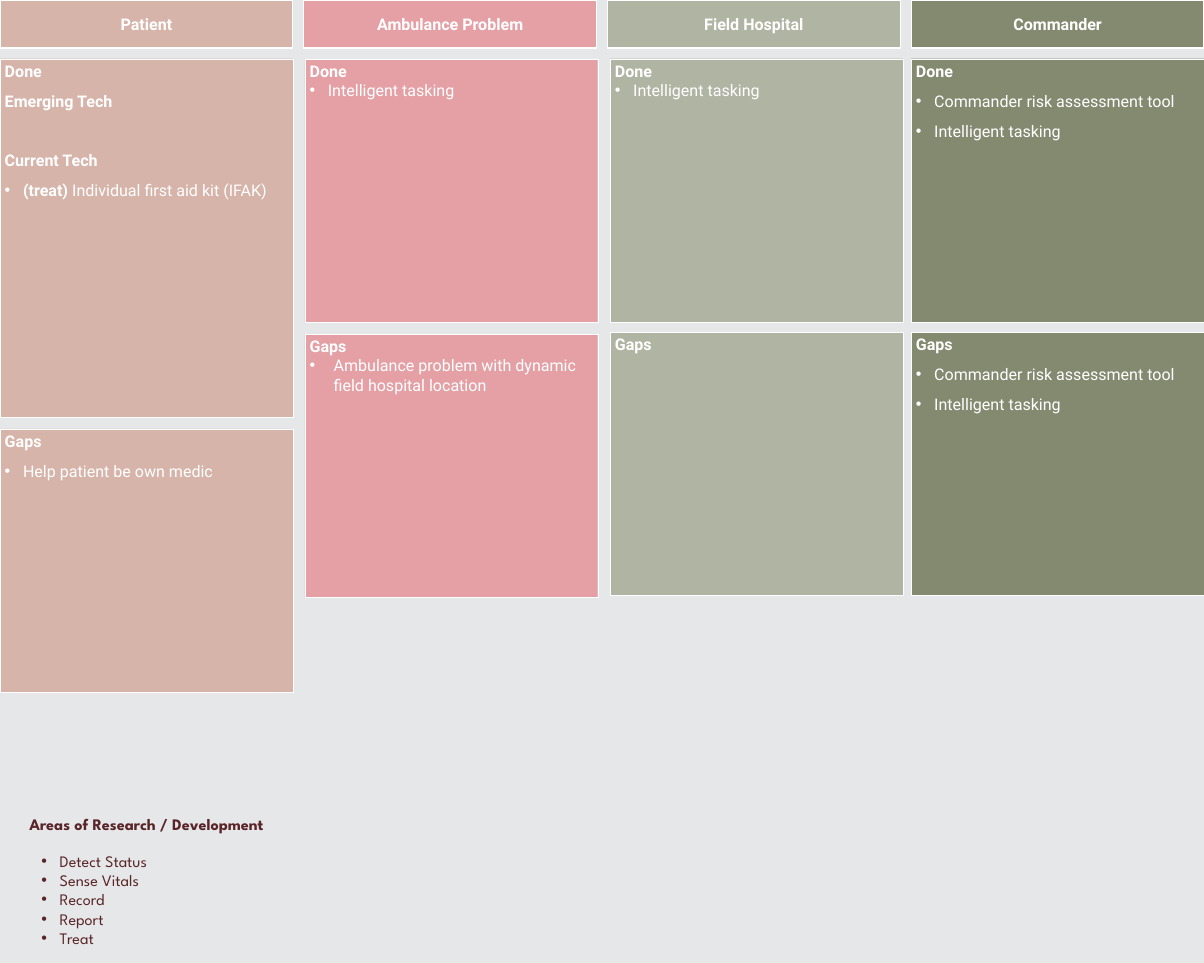
import dataclasses

import lxml.etree
import pptx
import pptx.dml.color
import pptx.enum.shapes
import pptx.enum.text
import pptx.oxml.ns
import pptx.util

Inches = pptx.util.Inches
Pt = pptx.util.Pt
ALIGN = pptx.enum.text.PP_ALIGN
ANCHOR = pptx.enum.text.MSO_ANCHOR

WHITE, PALE, MAROON = "FFFFFF", "E6E7E9", "592528"
COLUMN_WIDTH = 6.08
BULLET_INDENT = 0.38


def color(value):
    return pptx.dml.color.RGBColor.from_string(value)


@dataclasses.dataclass
class Line:
    text: str
    lead: str = ""  # bold words before the text
    bold: bool = False
    indent: float = 0  # a bullet hangs in the indent
    after: float = 0


def heading(text, after=0):
    return Line(text, bold=True, after=after)


def bullet(text, after=0, lead="", indent=BULLET_INDENT):
    return Line(text, lead=lead, indent=indent, after=after)


class Board:
    def __init__(self, page):
        self.page = page
        self.size = 24

    def add_box(self, left, top, width, height, fill, border=0, inset=None):
        box = self.page.shapes.add_shape(
            pptx.enum.shapes.MSO_SHAPE.RECTANGLE,
            Inches(left), Inches(top), Inches(width), Inches(height))
        box.shadow.inherit = False
        box.fill.solid()
        box.fill.fore_color.rgb = color(fill)
        if border:
            box.line.color.rgb = color(WHITE)
            box.line.width = Pt(border)
        else:
            box.line.fill.background()
        frame = box.text_frame
        frame.word_wrap = True
        frame.vertical_anchor = ANCHOR.TOP
        if inset:
            frame.margin_left = frame.margin_right = Inches(inset)
            frame.margin_top = frame.margin_bottom = Inches(inset)
        return frame

    def add_lines(self, frame, lines, font="Roboto", ink=WHITE, align=ALIGN.LEFT):
        frame.text = "\n".join(line.lead for line in lines)
        for para, line in zip(frame.paragraphs, lines):
            para.alignment = align
            para.space_after = Pt(line.after)
            para.add_run().text = line.text
            for span in para.runs:
                span.font.name = font
                span.font.size = Pt(self.size)
                span.font.bold = line.bold
                span.font.color.rgb = color(ink)
            if line.lead:
                para.runs[0].font.bold = True
            if line.indent:
                self.add_bullet(para, line.indent, ink)

    def add_bullet(self, para, indent, ink):
        name = pptx.oxml.ns.qn
        properties = para._p.get_or_add_pPr()
        properties.set("marL", str(Inches(indent)))
        properties.set("indent", str(-Inches(indent)))
        tint = lxml.etree.SubElement(properties, name("a:buClr"))
        lxml.etree.SubElement(tint, name("a:srgbClr")).set("val", ink)
        lxml.etree.SubElement(properties, name("a:buFont")).set("typeface", "Arial")
        lxml.etree.SubElement(properties, name("a:buChar")).set("char", "•")

    def add_header(self, left, title, fill):
        frame = self.add_box(left, 0, COLUMN_WIDTH, 1, fill, border=2)
        frame.vertical_anchor = ANCHOR.MIDDLE
        self.add_lines(frame, [heading(title)], align=ALIGN.CENTER)

    def add_panel(self, left, top, fill, lines, height=5.47):
        frame = self.add_box(left, top, COLUMN_WIDTH, height, fill, border=0.25)
        self.add_lines(frame, lines)

    def add_note(self, left, top, width, lines, align=ALIGN.LEFT):
        frame = self.add_box(left, top, width, 20 - top, PALE, inset=0.2)
        self.add_lines(frame, lines, "League Spartan", MAROON, align)


def main():
    deck = pptx.Presentation()
    deck.slide_width, deck.slide_height = Inches(25), Inches(20)
    page = deck.slides.add_slide(deck.slide_layouts[6])
    page.background.fill.solid()
    page.background.fill.fore_color.rgb = color(PALE)
    board = Board(page)

    # Column headers, evenly spread over the slide
    fills = ["D6B4AA", "E4A0A5", "B0B4A2", "848A70"]
    patient, ambulance, hospital, commander = fills
    titles = ["Patient", "Ambulance Problem", "Field Hospital", "Commander"]
    step = (25 - COLUMN_WIDTH) / 3
    for index, (title, fill) in enumerate(zip(titles, fills)):
        board.add_header(index * step, title, fill)

    # Patient
    board.add_panel(0, 1.22, patient, [
        heading("Done", 16),
        heading("Emerging Tech", 60),
        heading("Current Tech", 16),
        bullet("Individual first aid kit (IFAK)", lead="(treat) "),
    ], height=7.45)
    board.add_panel(0, 8.91, patient, [
        heading("Gaps", 16), bullet("Help patient be own medic")])

    # Ambulance problem
    board.add_panel(6.33, 1.23, ambulance, [
        heading("Done"), bullet("Intelligent tasking")])
    board.add_panel(6.33, 6.94, ambulance, [
        heading("Gaps"),
        bullet("Ambulance problem with dynamic field hospital location", indent=0.5)])

    # Field hospital
    board.add_panel(12.67, 1.22, hospital, [
        heading("Done"), bullet("Intelligent tasking")])
    board.add_panel(12.67, 6.9, hospital, [heading("Gaps")])

    # Commander: the same tools are done and still have gaps
    for top, title in [(1.22, "Done"), (6.9, "Gaps")]:
        board.add_panel(18.92, top, commander, [
            heading(title, 16),
            bullet("Commander risk assessment tool", 16),
            bullet("Intelligent tasking")])

    # Areas of research
    board.add_note(0, 16.71, COLUMN_WIDTH,
                   [heading("Areas of Research / Development")], ALIGN.CENTER)
    areas = ["Detect Status", "Sense Vitals", "Record", "Report", "Treat"]
    board.add_note(0.66, 17.48, 5.42, [bullet(area) for area in areas])

    deck.save("out.pptx")


if __name__ == "__main__":
    main()
